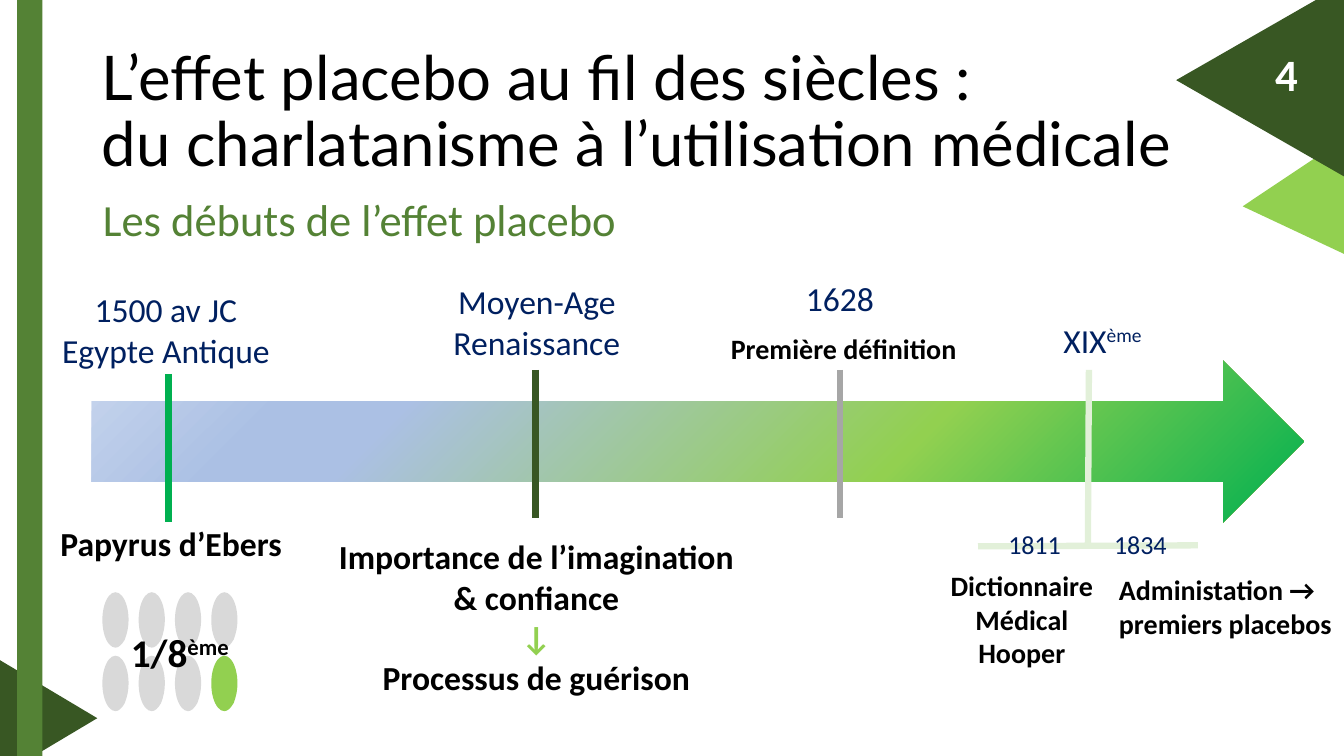
import pptx
import pptx.util
import pptx.dml.color
import pptx.enum.shapes
import pptx.enum.text
import lxml.etree

Inches, Pt = pptx.util.Inches, pptx.util.Pt
Kind = pptx.enum.shapes.MSO_SHAPE
Align = pptx.enum.text.PP_ALIGN
Fit = pptx.enum.text.MSO_AUTO_SIZE
Anchor = pptx.enum.text.MSO_ANCHOR
NS = "http://schemas.openxmlformats.org/drawingml/2006/main"

THEME = {
    "font": "Calibri", "head": "Lato",
    "black": "000000", "white": "FFFFFF", "navy": "002060",
    "dark": "385723", "green": "548235", "lime": "92D050",
    "leaf": "00B050", "grey": "A6A6A6", "pale": "E2F0D9", "seed": "D9D9D9",
    "title": 44, "sub": 31.8, "big": 32, "part": 28, "date": 24, "note": 20,
    "line": 4.5,
}

# Content
TITLE = "L’effet placebo au fil des siècles :\vdu charlatanisme à l’utilisation médicale"
SUB = "Les débuts de l’effet placebo"
NUMBER = "4"

# Corner triangles: left, top, width, height, turn, colour
CORNERS = [
    (12.11, 0.3, 3.67, 3.25, 265.7, "lime"),
    (11.44, -0.73, 3.5, 3.05, 270, "dark"),
    (-0.23, 6.58, 1.3, 1.09, 90, "dark"),
]
# Arrow colours: place in percent, colour
FADE = [(0, "00B050"), (34, "92D050"), (74, "ABC0E4"), (83, "ABC0E4"), (100, "C7D5ED")]
# Marks on the arrow: from x, y to x, y, colour
MARKS = [
    (1.67, 3.71, 1.67, 5.18, "leaf"),
    (5.31, 3.67, 5.31, 5.14, "dark"),
    (8.33, 3.67, 8.33, 5.14, "grey"),
    (11.88, 5.41, 9.7, 5.42, "pale"),
    (10.8, 3.67, 10.79, 5.41, "pale"),
]
# Centred dates; ^ starts a raised part
DATES = [
    ("1500 av JC\nEgypte Antique", 0.5, 2.82, 2.29, 0.91),
    ("Moyen-Age\nRenaissance", 4.39, 2.74, 1.87, 0.91),
    ("1628", 7.89, 2.71, 0.88, 0.5),
    ("XIX^ème", 10.42, 3.12, 1.03, 0.5),
]
# Bold notes: text, box, size, centred
NOTES = [
    ("Papyrus d’Ebers", (0.5, 5.14, 2.91, 0.5), "date", False),
    ("Première définition", (7.15, 3.24, 2.46, 0.44), "note", False),
    ("Dictionnaire\nMédical\nHooper", (9.32, 5.59, 1.63, 1.11), "note", True),
    ("Administation →\npremiers placebos", (11, 5.63, 2.33, 0.77), "note", False),
]
CURE = "Importance de l’imagination\n& confiance\n↓\nProcessus de guérison"
YEARS = "^1811\t1834"
SHARE = "1/8^ème"

deck = pptx.Presentation()
deck.slide_width, deck.slide_height = Inches(13.33), Inches(7.5)
slide = deck.slides.add_slide(deck.slide_layouts[1])


def tint(name):
    return pptx.dml.color.RGBColor.from_string(THEME[name])


def place(shape, *box):
    shape.left, shape.top, shape.width, shape.height = map(Inches, box)


def style(font, size, color, bold=False, face="font"):
    font.name, font.size, font.bold = THEME[face], Pt(THEME[size]), bold
    font.color.rgb = tint(color)


def draw(kind, box, color, turn=0):
    shape = slide.shapes.add_shape(kind, *map(Inches, box))
    shape.shadow.inherit = False
    shape.fill.solid()
    shape.fill.fore_color.rgb = tint(color)
    shape.line.fill.background()
    shape.rotation = turn
    return shape


def label(text, box, size, color="black", bold=True, center=False, wrap=False):
    frame = slide.shapes.add_textbox(*map(Inches, box)).text_frame
    frame.word_wrap = wrap
    for i, line in enumerate(text.split("\n")):
        para = frame.add_paragraph() if i else frame.paragraphs[0]
        para.alignment = Align.CENTER if center else Align.LEFT
        for j, part in enumerate(line.split("^")):
            if not part:
                continue
            run = para.add_run()
            run.text = part
            style(run.font, size, color, bold)
            if j:
                run._r.get_or_add_rPr().set("baseline", "30000")
    return frame


def head(shape, text, box, size, color, face, space):
    place(shape, *box)
    frame = shape.text_frame
    frame.text = text
    frame.auto_size, frame.word_wrap = Fit.NONE, True
    para = frame.paragraphs[0]
    para.alignment, para.line_spacing, para.space_before = Align.LEFT, space, Pt(0)
    for run in para.runs:
        style(run.font, size, color, face=face)
    return frame


# Side decor
for *box, turn, color in CORNERS:
    draw(Kind.ISOSCELES_TRIANGLE, box, color, turn)
draw(Kind.RECTANGLE, (0.17, 0, 0.25, 7.5), "green")

# Title and subtitle
frame = head(slide.shapes.title, TITLE, (0.91, 0.4, 11.5, 1.45), "title", "black", "head", 0.9)
frame.vertical_anchor = Anchor.MIDDLE
frame = head(slide.placeholders[1], SUB, (0.92, 2, 11.5, 0.69), "sub", "green", "font", 0.7)
frame.vertical_anchor = Anchor.TOP
props = frame.paragraphs[0]._p.get_or_add_pPr()
props.set("marL", "0")
props.set("indent", "0")
lxml.etree.SubElement(props, f"{{{NS}}}buNone")

# Time arrow with a round fade from its lower right corner
arrow = draw(Kind.RIGHT_ARROW, (0.91, 3.58, 12.02, 1.6), "leaf")
stops = "".join(f'<a:gs pos="{at * 1000}"><a:srgbClr val="{color}"/></a:gs>' for at, color in FADE)
fade = lxml.etree.fromstring(
    f'<a:gradFill xmlns:a="{NS}" rotWithShape="1"><a:gsLst>{stops}</a:gsLst>'
    '<a:path path="circle"><a:fillToRect l="100000" t="100000"/></a:path>'
    '<a:tileRect r="-100000" b="-100000"/></a:gradFill>')
solid = arrow._element.spPr.find(f"{{{NS}}}solidFill")
solid.getparent().replace(solid, fade)

# Marks
for *ends, color in MARKS:
    mark = slide.shapes.add_connector(pptx.enum.shapes.MSO_CONNECTOR.STRAIGHT, *map(Inches, ends))
    mark.line.color.rgb = tint(color)
    mark.line.width = Pt(THEME["line"])
    lxml.etree.SubElement(mark._element.spPr, f"{{{NS}}}effectLst")

# Dates and notes
for text, *box in DATES:
    label(text, box, "date", "navy", bold=False, center=True)
for text, box, size, center in NOTES:
    label(text, box, size, center=center)
cure = label(CURE, (3.24, 5.27, 4.16, 1.72), "date", center=True)
cure.paragraphs[2].runs[0].font.color.rgb = tint("lime")

# Two years on one tab stop
years = label(YEARS, (9.73, 5.14, 2.11, 0.46), "big", "navy", bold=False, wrap=True)
years.margin_left = Inches(0.27)
tabs = lxml.etree.SubElement(years.paragraphs[0]._p.get_or_add_pPr(), f"{{{NS}}}tabLst")
lxml.etree.SubElement(tabs, f"{{{NS}}}tab", pos=str(Inches(1.05)), algn="l")

# Eight seeds, the last one lit
for row in range(2):
    for col in range(4):
        box = (0.87 + 0.36 * col, 6.02 + 0.63 * row, 0.55, 0.26)
        seed = draw(Kind.TEAR, box, "lime" if (row, col) == (1, 3) else "seed", 90)
        seed.adjustments[0] = 0.71
label(SHARE, (1.2, 6.18, 1.3, 0.57), "part")

# Slide number
label(NUMBER, (12.55, 0.41, 0.8, 0.64), "big", "white", wrap=True)

deck.save("out.pptx")
